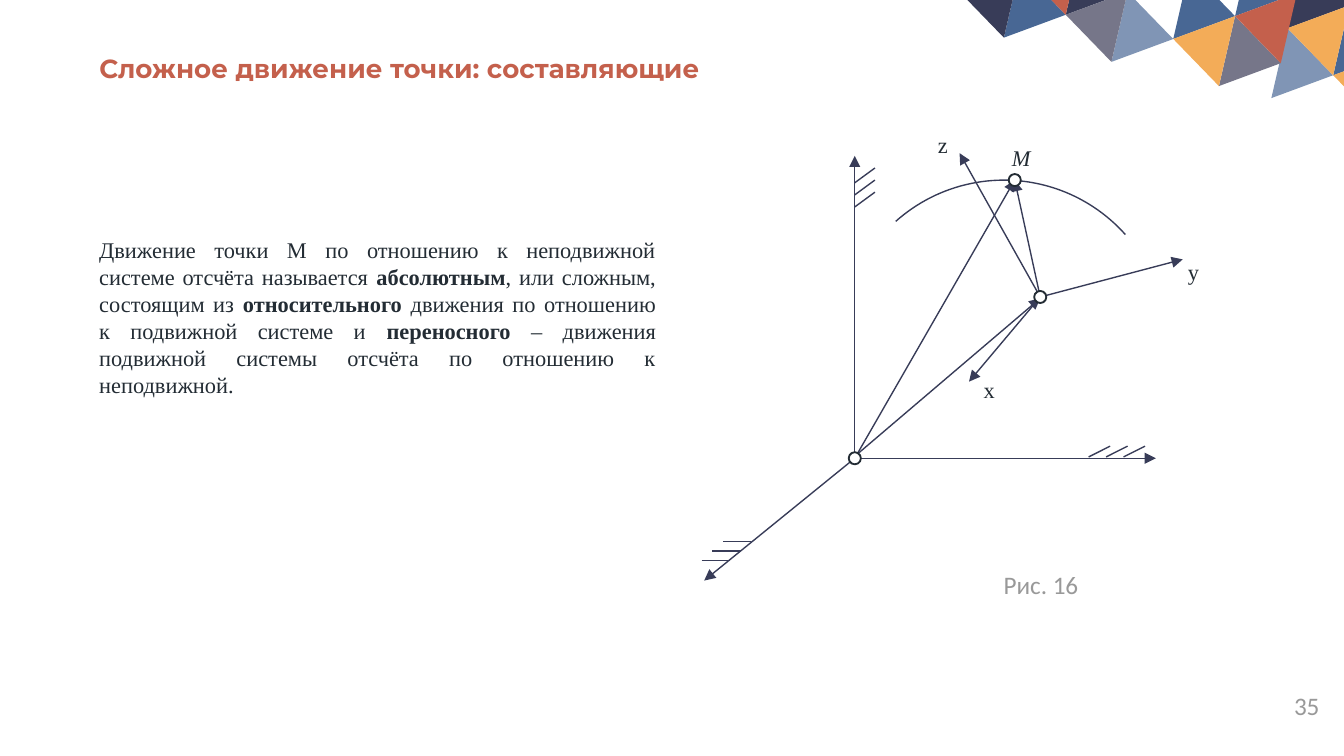
import pptx
import pptx.util
import pptx.dml.color
import pptx.enum.shapes
import pptx.enum.text
import pptx.oxml.ns
from lxml import etree
from pptx.util import Inches

NAVY, BLUE, SKY, GRAY = "383C58", "486794", "8095B5", "767689"
ORANGE, RED, INK, PALE = "F3AC58", "C4604C", "232C34", "999999"
SERIF = "Times New Roman"

STEP_DOWN, STEP_RIGHT = (0.34, 0.35), (0.46, -0.17)
EDGE_MOSAIC = [
    (0, 0, "far", BLUE), (1, 0, "near", ORANGE), (-1, 0, "far", NAVY),
    (0, -1, "far", SKY), (0, 0, "near", ORANGE),
]
MAIN_MOSAIC = [
    (1, 2, "far", BLUE), (1, 1, "far", SKY), (2, 2, "far", GRAY),
    (0, 1, "far", NAVY), (1, 3, "far", BLUE), (0, 0, "far", BLUE),
    (0, 0, "near", NAVY), (0, 1, "near", RED), (2, 3, "near", RED),
    (2, 2, "near", ORANGE), (1, 1, "near", GRAY),
]
CORNERS = {"near": [(0, 0), (0, 1), (1, 0)], "far": [(1, 1), (0, 1), (1, 0)]}

FIXED_ORIGIN, MOVING_ORIGIN, POINT_M = (6.36, 3.41), (7.74, 2.21), (7.55, 1.34)
AXES = [
    (FIXED_ORIGIN, (6.36, 1.16)), (FIXED_ORIGIN, (8.6, 3.41)),
    (FIXED_ORIGIN, (5.24, 4.32)), (MOVING_ORIGIN, (7.14, 1.14)),
    (MOVING_ORIGIN, (8.8, 1.93)), (MOVING_ORIGIN, (7.21, 2.84)),
]
RADIUS_VECTORS = [
    (FIXED_ORIGIN, POINT_M), ((6.39, 3.37), (7.74, 2.22)), (MOVING_ORIGIN, POINT_M),
]
HATCHES = [
    ((6.36, 1.36), (0, 0.09), (0.15, -0.11)),
    ((5.38, 4.03), (-0.08, 0.07), (0.21, 0)),
    ((8.1, 3.4), (0.13, 0), (0.16, -0.08)),
]
LABELS = [
    ("M", 7.43, 1.02, 0.36, True), ("x", 7.22, 2.75, 0.56, False),
    ("z", 6.88, 0.93, 0.56, False), ("y", 8.74, 1.87, 0.56, False),
]
DEFINITION = [
    ("Движение точки М по отношению к неподвижной системе отсчёта называется ", False),
    ("абсолютным", True),
    (", или сложным, состоящим из ", False),
    ("относительного", True),
    (" движения по отношению к подвижной системе и ", False),
    ("переносного", True),
    (" – движения подвижной системы отсчёта по отношению к неподвижной.", False),
]


def rgb(value):
    """Return the colour for a hex string."""
    return pptx.dml.color.RGBColor.from_string(value)


def style_font(paragraph, size, name, color):
    """Set size, typeface and colour of a paragraph."""
    font = paragraph.font
    font.size, font.name = pptx.util.Pt(size), name
    font.color.rgb = rgb(color)
    return font


def add_text(slide, text, box, size, name, color, inset=0.05):
    """Add a wrapped text box and return its paragraph."""
    frame = slide.shapes.add_textbox(*map(Inches, box)).text_frame
    frame.word_wrap = True
    frame.margin_top = frame.margin_bottom = Inches(inset)
    paragraph = frame.paragraphs[0]
    paragraph.text = text
    style_font(paragraph, size, name, color)
    return paragraph


def add_title(slide, text):
    """Place and format the title."""
    title = slide.shapes.title
    title.left, title.top, title.width, title.height = map(Inches, (0.64, 0.34, 7.3, 0.34))
    frame = title.text_frame
    frame.vertical_anchor = pptx.enum.text.MSO_ANCHOR.TOP
    paragraph = frame.paragraphs[0]
    paragraph.text = text
    paragraph.alignment = pptx.enum.text.PP_ALIGN.LEFT
    style_font(paragraph, 14, "Montserrat", RED).bold = True


def add_definition(slide):
    """Add the justified definition with its bold terms."""
    paragraph = add_text(slide, "", (0.64, 1.71, 4.34, 1.92), 12, SERIF, INK)
    paragraph.alignment = pptx.enum.text.PP_ALIGN.JUSTIFY
    for text, bold in DEFINITION:
        run = paragraph.add_run()
        run.text = text
        run.font.bold = bold


def add_mosaic(slide, left, top, triangles):
    """Draw triangles as halves of the cells of a slanted grid."""
    for row, column, half, color in triangles:
        points = []
        for down, right in CORNERS[half]:
            i, j = row + down, column + right
            points.append((Inches(left + i * STEP_DOWN[0] + j * STEP_RIGHT[0]),
                           Inches(top + i * STEP_DOWN[1] + j * STEP_RIGHT[1])))
        builder = slide.shapes.build_freeform(*points[0])
        builder.add_line_segments(points[1:], close=True)
        triangle = builder.convert_to_shape()
        triangle.shadow.inherit = False
        triangle.fill.solid()
        triangle.fill.fore_color.rgb = rgb(color)
        triangle.line.fill.background()


def add_line(slide, start, end, arrow=False):
    """Draw a thin line, with an arrowhead at its end if asked."""
    line = slide.shapes.add_connector(
        pptx.enum.shapes.MSO_CONNECTOR.STRAIGHT, *map(Inches, (*start, *end)))
    line.line.width = pptx.util.Pt(0.75)
    line.line.color.rgb = rgb(NAVY)
    if arrow:
        outline = line._element.spPr.find(pptx.oxml.ns.qn("a:ln"))
        etree.SubElement(outline, pptx.oxml.ns.qn("a:tailEnd"), type="triangle")
    etree.SubElement(line._element.spPr, pptx.oxml.ns.qn("a:effectLst"))


def add_hatch(slide, start, gap, stroke):
    """Draw three parallel strokes that mark a fixed axis."""
    for index in range(3):
        x, y = start[0] + index * gap[0], start[1] + index * gap[1]
        add_line(slide, (x, y), (x + stroke[0], y + stroke[1]))


def add_trajectory(slide):
    """Draw the arc along which the point moves."""
    arc = slide.shapes.add_shape(
        pptx.enum.shapes.MSO_SHAPE.ARC, *map(Inches, (6.26, 1.34, 2.42, 2.42)))
    arc.rotation = 318.3
    arc.shadow.inherit = False
    arc.fill.background()
    arc.line.color.rgb = rgb(NAVY)
    arc.line.width = pptx.util.Pt(0.75)


def add_joint(slide, center):
    """Draw a small white circle around a point."""
    size = 0.09
    joint = slide.shapes.add_shape(
        pptx.enum.shapes.MSO_SHAPE.OVAL, Inches(center[0] - size / 2),
        Inches(center[1] - size / 2), Inches(size), Inches(size))
    joint.shadow.inherit = False
    joint.fill.solid()
    joint.fill.fore_color.rgb = rgb("FFFFFF")
    joint.line.color.rgb = rgb(INK)
    joint.line.width = pptx.util.Pt(1)


def add_diagram(slide):
    """Draw both frames of reference, the trajectory and the vectors."""
    for start, end in AXES:
        add_line(slide, start, end, arrow=True)
    add_trajectory(slide)
    for text, left, top, width, italic in LABELS:
        label = add_text(slide, text, (left, top, width, 0.3), 12, SERIF, INK)
        label.font.italic = italic
    for hatch in HATCHES:
        add_hatch(slide, *hatch)
    for start, end in RADIUS_VECTORS:
        add_line(slide, start, end, arrow=True)
    for center in (FIXED_ORIGIN, POINT_M, MOVING_ORIGIN):
        add_joint(slide, center)


def main():
    """Build the slide and save it."""
    deck = pptx.Presentation()
    deck.slide_width = Inches(10)
    deck.slide_height = deck.slide_width * 9 // 16
    slide = deck.slides.add_slide(deck.slide_layouts[5])
    add_title(slide, "Сложное движение точки: составляющие")
    add_definition(slide)
    add_mosaic(slide, 9.58, 0.21, EDGE_MOSAIC)
    add_mosaic(slide, 7.13, -0.07, MAIN_MOSAIC)
    add_diagram(slide)
    add_text(slide, "35", (9.53, 5.09, 0.45, 0.33), 13.5, "Calibri", PALE)
    add_text(slide, "Рис. 16", (7.37, 4.14, 0.8, 0.44), 13.5, "Calibri", PALE, inset=0.1)
    deck.save("out.pptx")


if __name__ == "__main__":
    main()
